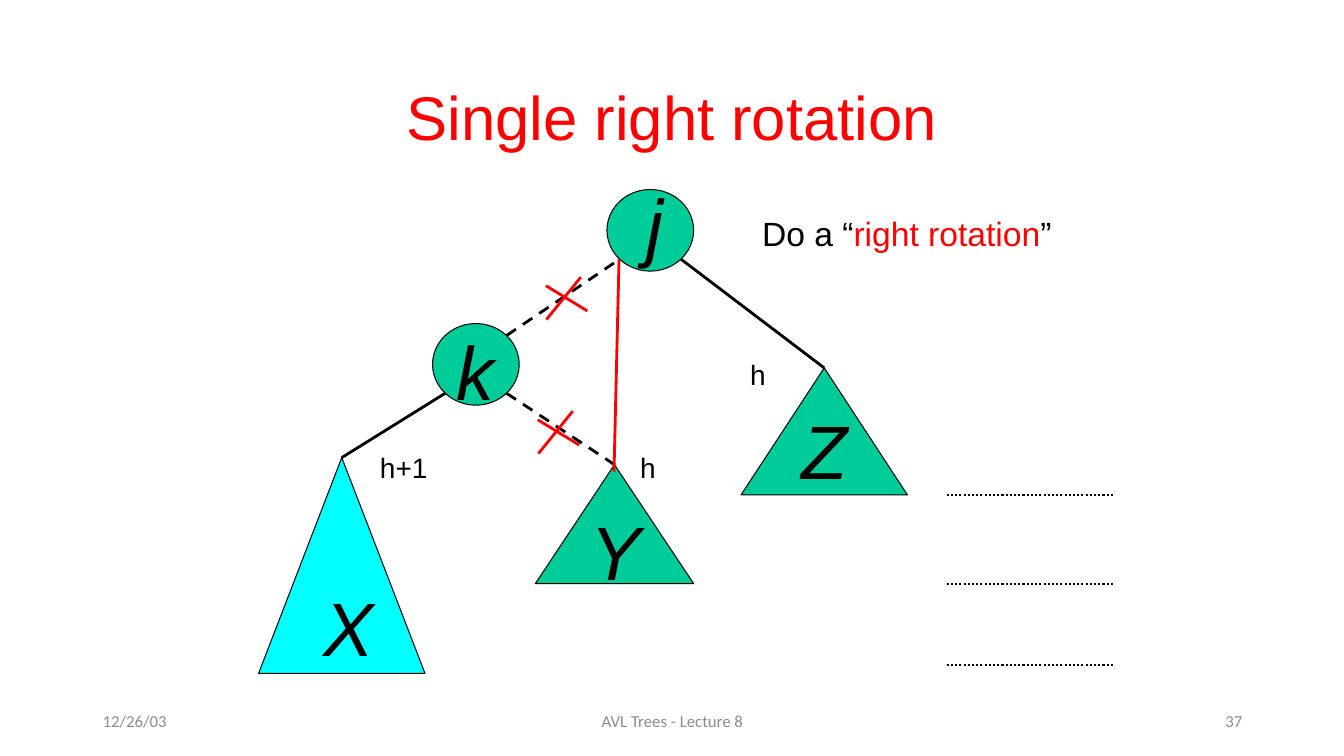
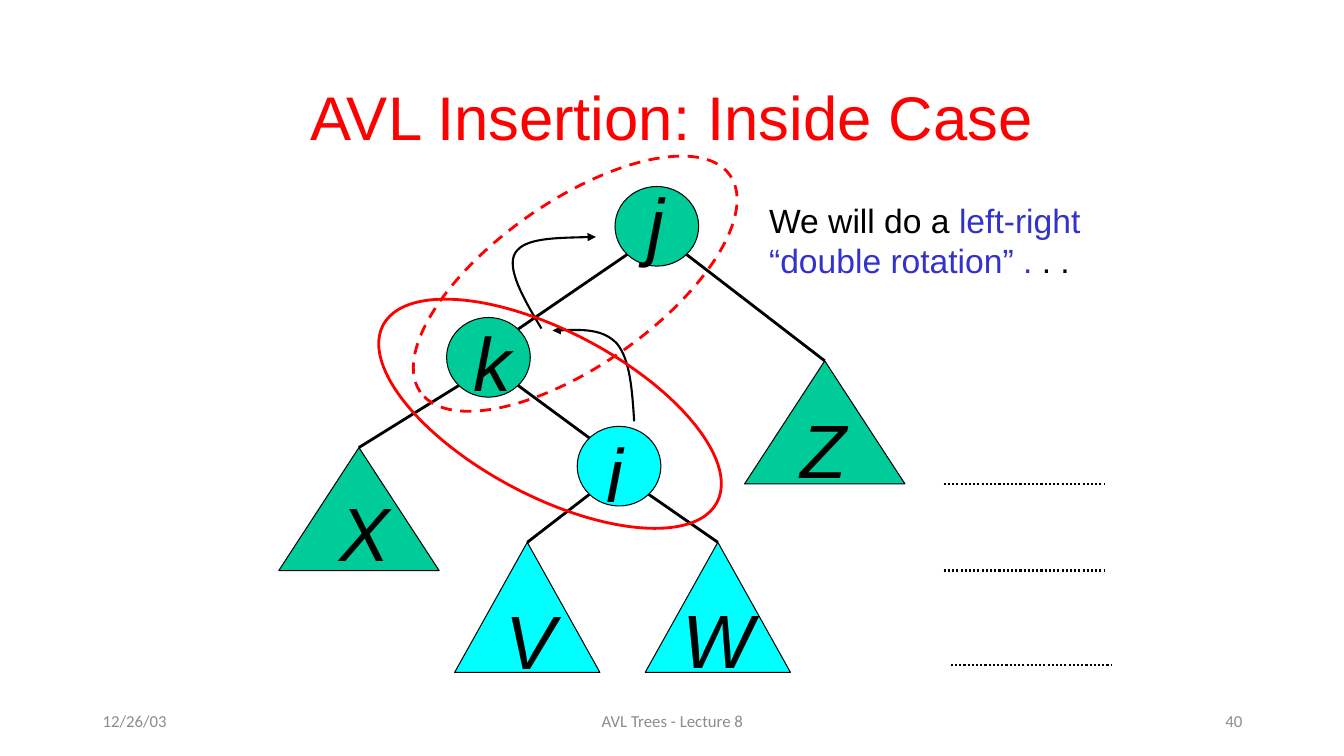
from dataclasses import dataclass
from math import sqrt

from pptx import Presentation
from pptx.dml.color import RGBColor
from pptx.enum.dml import MSO_LINE as DASH
from pptx.enum.shapes import MSO_CONNECTOR, MSO_SHAPE as SHAPE
from pptx.enum.text import MSO_ANCHOR as ANCHOR, PP_ALIGN as ALIGN
from pptx.oxml.xmlchemy import OxmlElement
from pptx.util import Inches, Pt


@dataclass(frozen=True)
class Theme:
    black: str = "000000"
    red: str = "FF0000"
    blue: str = "3333CC"
    gray: str = "8C8C8C"
    green: str = "00CC99"
    cyan: str = "00FFFF"
    font: str = "Arial"
    footer_font: str = "Calibri"
    title_size: int = 44
    letter_size: int = 54
    note_size: int = 24
    label_size: int = 20
    footer_size: int = 12
    outline: float = 0.75
    curve: float = 1.5
    edge: float = 2


THEME = Theme()
COLUMNS, ROWS = 133.3, 75

presentation = Presentation()
presentation.slide_width = Inches(13.33)
presentation.slide_height = Inches(7.5)
COLUMN = presentation.slide_width / COLUMNS
ROW = presentation.slide_height / ROWS


def add_text(slide, box, lines, size, color=THEME.black, font=THEME.font,
             align=ALIGN.LEFT, anchor=ANCHOR.TOP, italic=False, wrap=True):
    left, top, width, height = box
    shape = slide.shapes.add_textbox(
        round(left * COLUMN), round(top * ROW), round(width * COLUMN), round(height * ROW))
    frame = shape.text_frame
    frame.word_wrap = wrap
    frame.vertical_anchor = anchor
    for index, line in enumerate(lines):
        paragraph = frame.add_paragraph() if index else frame.paragraphs[0]
        paragraph.alignment = align
        for text, run_color in [(line, color)] if isinstance(line, str) else line:
            run = paragraph.add_run()
            run.text = text
            run.font.name = font
            run.font.size = Pt(size)
            run.font.italic = italic
            run.font.color.rgb = RGBColor.from_string(run_color)
    return frame


def add_line(slide, start, end, color=THEME.black, width=THEME.edge, dash=None, target=None):
    line = slide.shapes.add_connector(
        MSO_CONNECTOR.STRAIGHT, round(start[0] * COLUMN), round(start[1] * ROW),
        round(end[0] * COLUMN), round(end[1] * ROW))
    if target is not None:
        line.end_connect(target, 0)
    line.line.color.rgb = RGBColor.from_string(color)
    line.line.width = Pt(width)
    if dash is not None:
        line.line.dash_style = dash
    line._element.spPr.append(OxmlElement("a:effectLst"))


NE, SE, SW, NW = (1, -1), (1, 1), (-1, 1), (-1, -1)

SLIDES = [
    dict(
        title="Single right rotation",
        number="37",
        node_size=(8.6, 8.1),
        letter_width=5.3,
        nodes={
            "j": (64.5, 22.85, THEME.green, 63.1, 16.5),
            "k": (47.2, 36.15, THEME.green, 44.3, 31),
        },
        subtrees={
            "X": (33.9, 45.4, 16.5, 21.4, THEME.cyan, 31.1, 56.4),
            "Y": (60.95, 46.1, 15.7, 11.8, THEME.green, 57.6, 48.9),
            "Z": (81.75, 36.5, 16.5, 12.6, THEME.green, 78.5, 38.9),
        },
        edges=[
            ("k", SW, "X", None, None),
            ("j", SE, "Z", None, None),
            ("k", NE, "j", SW, DASH.DASH),
            ("k", SE, "Y", None, DASH.DASH),
        ],
        red_lines=[((61.4, 25.7), (60.9, 46.8))],
        crosses=[(56.2, 29.6), (55.4, 42.9)],
        levels=[(93.9, 49.1), (93.9, 57.9), (93.9, 66)],
        level_width=16.5,
        note=((74.6, 20.6, 30.7, 5), [
            [("Do a “", THEME.black), ("right rotation", THEME.red), ("”", THEME.black)],
        ]),
        heights=[("h", 73.4, 35, 3.5), ("h+1", 36.7, 44.2, 6.7), ("h", 62.5, 44.2, 3.5)],
        arrows=[],
        loops=[],
    ),
    dict(
        title="AVL Insertion: Inside Case",
        number="40",
        node_size=(8.3, 7.9),
        letter_width=5.1,
        nodes={
            "j": (65.15, 22.45, THEME.green, 63.2, 16.4),
            "k": (48.45, 35.45, THEME.green, 46, 30.1),
            "i": (61.4, 46.25, THEME.cyan, 59.2, 41.2),
        },
        subtrees={
            "X": (35.6, 44.4, 15.9, 12.2, THEME.green, 32.7, 47),
            "V": (52.3, 53.8, 14.4, 12.9, THEME.cyan, 49.2, 57.7),
            "W": (71.2, 53.8, 14.4, 12.9, THEME.cyan, 66.7, 57.6),
            "Z": (81.8, 35.8, 15.9, 12.2, THEME.green, 78.4, 38.8),
        },
        edges=[
            ("j", SW, "k", NE, None),
            ("k", SW, "X", None, None),
            ("k", SE, "i", NW, None),
            ("j", SE, "Z", None, None),
            ("i", SW, "V", None, None),
            ("i", SE, "W", None, None),
        ],
        red_lines=[],
        crosses=[],
        levels=[(93.6, 48), (93.6, 56.6), (94.3, 66)],
        level_width=15.9,
        note=((75.3, 19.3, 33.8, 9), [
            [("We will do a ", THEME.black), ("left-right", THEME.blue)],
            [("“double rotation” .", THEME.blue), (" . .", THEME.black)],
        ]),
        heights=[],
        arrows=[
            [(62.9, 41.8), (62.7, 38.7), (62.5, 35.7), (61.2, 34.1),
             (59.8, 32.6), (57.3, 32.7), (54.8, 32.8)],
            [(53.7, 32.6), (51.9, 29.6), (50.2, 26.6), (51.1, 25.1),
             (52, 23.6), (55.5, 23.6), (59.1, 23.5)],
        ],
        loops=[(35.8, 32.9, 28, None), (38.3, 20, 325, DASH.DASH)],
    ),
]

for content in SLIDES:
    slide = presentation.slides.add_slide(presentation.slide_layouts[6])

    for left, width, text, align in [
        (9.2, 30, "12/26/03", ALIGN.LEFT),
        (44.2, 45, "AVL Trees - Lecture 8", ALIGN.CENTER),
        (94.2, 30, content["number"], ALIGN.RIGHT),
    ]:
        add_text(slide, (left, 69.5, width, 4), [text], THEME.footer_size, THEME.gray,
                 THEME.footer_font, align, ANCHOR.MIDDLE)

    node_width, node_height = content["node_size"]
    parts = [
        (name, SHAPE.OVAL, x - node_width / 2, y - node_height / 2, node_width, node_height,
         fill, letter_x, letter_y)
        for name, (x, y, fill, letter_x, letter_y) in content["nodes"].items()
    ] + [
        (name, SHAPE.ISOSCELES_TRIANGLE, x - width / 2, y, width, height,
         fill, letter_x, letter_y)
        for name, (x, y, width, height, fill, letter_x, letter_y) in content["subtrees"].items()
    ]
    shapes = {}
    for name, kind, left, top, width, height, fill, letter_x, letter_y in parts:
        shape = slide.shapes.add_shape(
            kind, round(left * COLUMN), round(top * ROW),
            round(width * COLUMN), round(height * ROW))
        shape.shadow.inherit = False
        shape.fill.solid()
        shape.fill.fore_color.rgb = RGBColor.from_string(fill)
        shape.line.color.rgb = RGBColor.from_string(THEME.black)
        shape.line.width = Pt(THEME.outline)
        shapes[name] = shape
        letter = add_text(slide, (letter_x, letter_y, content["letter_width"], 10), [name],
                          THEME.letter_size, italic=True)
        letter.margin_top = round(1.2 * ROW)
        letter.margin_bottom = 0

    for parent, parent_corner, child, child_corner, dash in content["edges"]:
        ends = []
        for name, corner in [(parent, parent_corner), (child, child_corner)]:
            if corner:
                x, y = content["nodes"][name][:2]
                ends.append((x + corner[0] * node_width / sqrt(8),
                             y + corner[1] * node_height / sqrt(8)))
            else:
                ends.append(content["subtrees"][name][:2])
        add_line(slide, *ends, dash=dash, target=None if child_corner else shapes[child])

    for x, y in content["levels"]:
        add_line(slide, (x, y), (x + content["level_width"], y),
                 width=THEME.curve, dash=DASH.ROUND_DOT)

    for start, end in content["red_lines"]:
        add_line(slide, start, end, THEME.red)
    for x, y in content["crosses"]:
        add_line(slide, (x - 2.05, y - 1.25), (x + 2.05, y + 1.25), THEME.red)
        add_line(slide, (x + 1.4, y - 2.1), (x - 2, y + 2.1), THEME.red)

    add_text(slide, (23.9, 7.1, 85.5, 8.8), [content["title"]], THEME.title_size, THEME.red,
             align=ALIGN.CENTER, anchor=ANCHOR.MIDDLE)
    note_box, note_lines = content["note"]
    add_text(slide, note_box, note_lines, THEME.note_size, wrap=False)
    for text, left, top, width in content["heights"]:
        add_text(slide, (left, top, width, 4.4), [text], THEME.label_size, wrap=False)

    for curve in content["arrows"]:
        points = [(round(x * COLUMN), round(y * ROW)) for x, y in curve]
        builder = slide.shapes.build_freeform(*points[0])
        builder.add_line_segments(points[1:], close=False)
        arrow = builder.convert_to_shape()
        arrow.shadow.inherit = False
        arrow.fill.background()
        arrow.line.color.rgb = RGBColor.from_string(THEME.black)
        arrow.line.width = Pt(THEME.curve)
        head = OxmlElement("a:tailEnd")
        head.set("type", "triangle")
        arrow.line._get_or_add_ln().append(head)
        segments = arrow._element.xpath(".//a:lnTo")
        for first in range(0, len(segments), 3):
            bezier = OxmlElement("a:cubicBezTo")
            segments[first].addprevious(bezier)
            for segment in segments[first:first + 3]:
                bezier.append(segment[0])
                segment.getparent().remove(segment)

    for left, top, angle, dash in content["loops"]:
        loop = slide.shapes.add_shape(
            SHAPE.OVAL, round(left * COLUMN), round(top * ROW),
            round(37.5 * COLUMN), round(16.3 * ROW))
        loop.rotation = angle
        loop.shadow.inherit = False
        loop.fill.background()
        loop.line.color.rgb = RGBColor.from_string(THEME.red)
        loop.line.width = Pt(THEME.edge)
        if dash is not None:
            loop.line.dash_style = dash

presentation.save("out.pptx")
